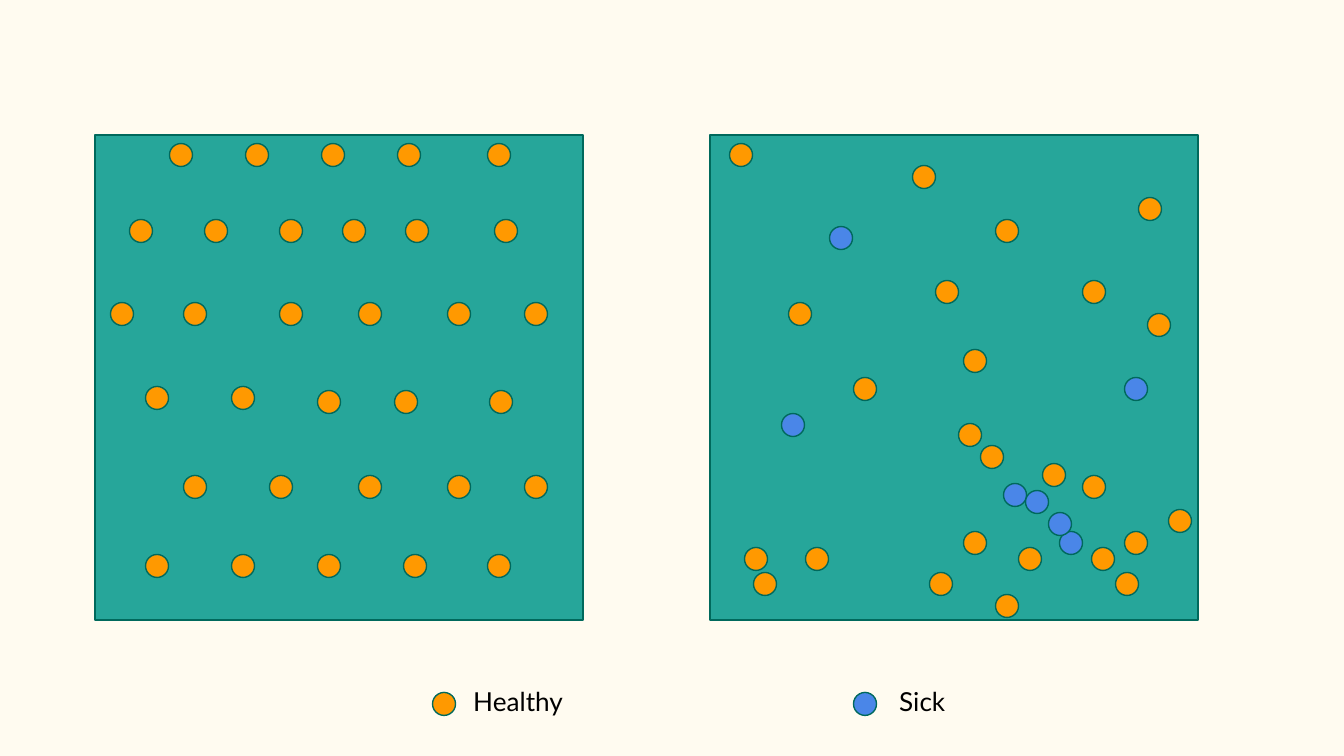
from typing import NamedTuple

from pptx import Presentation
from pptx import util as u
from pptx.dml.color import RGBColor
from pptx.enum import shapes, text

SCALE = 914400 / 134.4
DOT = 23
COLORS = {
    "background": "FFFBF0",
    "panel": "26A69A",
    "outline": "00695C",
    "healthy": "FF9900",
    "sick": "4A86E8",
    "text": "000000",
}


class Panel(NamedTuple):
    x: int
    y: int
    w: int
    h: int


class Row(NamedTuple):
    y: int
    xs: tuple[int, ...]


class Dot(NamedTuple):
    x: int
    y: int
    state: str


class Legend(NamedTuple):
    label: str
    state: str
    dot_x: int
    text_x: int
    text_w: int


PANELS = [Panel(95, 135, 488, 485), Panel(710, 135, 488, 485)]

HEALTHY_ROWS = [
    Row(155, (181, 257, 333, 409, 499)),
    Row(231, (141, 216, 291, 354, 417, 506)),
    Row(314, (122, 195, 291, 370, 459, 536)),
    Row(398, (157, 243)),
    Row(402, (329, 406, 501)),
    Row(487, (195, 281, 370, 459, 536)),
    Row(566, (157, 243, 329, 415, 499)),
]

MIXED_POINTS = {
    "healthy": [
        (741, 155), (924, 177), (1150, 209), (1007, 231), (947, 292),
        (1094, 292), (800, 314), (1159, 325), (975, 361), (865, 389),
        (970, 435), (992, 457), (1054, 475), (1094, 487), (1180, 521),
        (975, 543), (1136, 543), (756, 559), (817, 559), (1030, 559),
        (1103, 559), (765, 584), (941, 584), (1127, 584), (1007, 606),
    ],
    "sick": [
        (841, 238), (1136, 389), (793, 425), (1015, 495),
        (1071, 543), (1037, 502), (1060, 524),
    ],
}

LEGENDS = [
    Legend("Healthy", "healthy", 444, 460, 152),
    Legend("Sick", "sick", 865, 886, 125),
]


def px(n: float) -> int:
    return round(n * SCALE)


def rgb(name: str) -> RGBColor:
    return RGBColor.from_string(COLORS[name])


def add_filled(s, kind, x: float, y: float, w: int, h: int, color: str):
    sp = s.shapes.add_shape(kind, px(x), px(y), px(w), px(h))
    sp.shadow.inherit = False
    sp.fill.solid()
    sp.fill.fore_color.rgb = rgb(color)
    sp.line.color.rgb = rgb("outline")
    sp.line.width = u.Pt(0.75)
    return sp


def draw_panel(s, panel: Panel) -> None:
    add_filled(s, shapes.MSO_SHAPE.RECTANGLE, *panel, "panel")


def draw_dot(s, dot: Dot) -> None:
    add_filled(s, shapes.MSO_SHAPE.OVAL, dot.x - DOT / 2, dot.y - DOT / 2,
               DOT, DOT, dot.state)


def draw_legend(s, legend: Legend) -> None:
    draw_dot(s, Dot(legend.dot_x, 704, legend.state))
    sp = s.shapes.add_textbox(px(legend.text_x), px(672), px(legend.text_w), px(30))
    tf = sp.text_frame
    frame_format = {
        "word_wrap": True,
        "vertical_anchor": text.MSO_ANCHOR.TOP,
        **{f"margin_{side}": u.Inches(0.1)
           for side in ("left", "top", "right", "bottom")},
    }
    for key, value in frame_format.items():
        setattr(tf, key, value)
    r = tf.paragraphs[0].add_run()
    r.text = legend.label
    for key, value in {"name": "Lato", "size": u.Pt(14)}.items():
        setattr(r.font, key, value)
    r.font.color.rgb = rgb("text")


def main() -> None:
    prs = Presentation()
    prs.slide_width, prs.slide_height = px(1344), px(756)
    s = prs.slides.add_slide(prs.slide_layouts[6])
    s.background.fill.solid()
    s.background.fill.fore_color.rgb = rgb("background")

    for panel in PANELS:
        draw_panel(s, panel)
    dots = [Dot(x, row.y, "healthy") for row in HEALTHY_ROWS for x in row.xs]
    dots += [Dot(x, y, state) for state, points in MIXED_POINTS.items()
             for x, y in points]
    for dot in dots:
        draw_dot(s, dot)
    for legend in LEGENDS:
        draw_legend(s, legend)

    prs.save("out.pptx")


if __name__ == "__main__":
    main()
